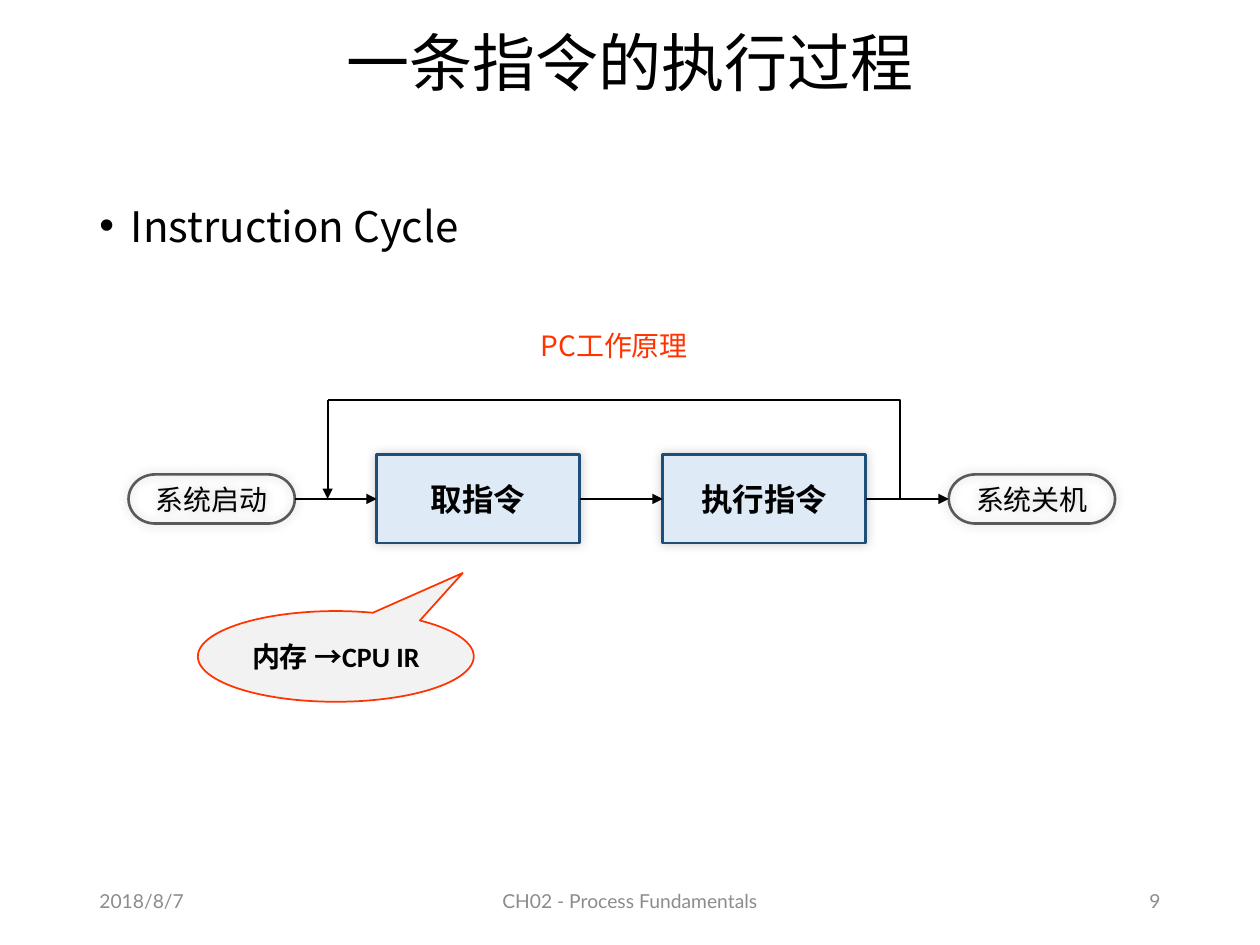
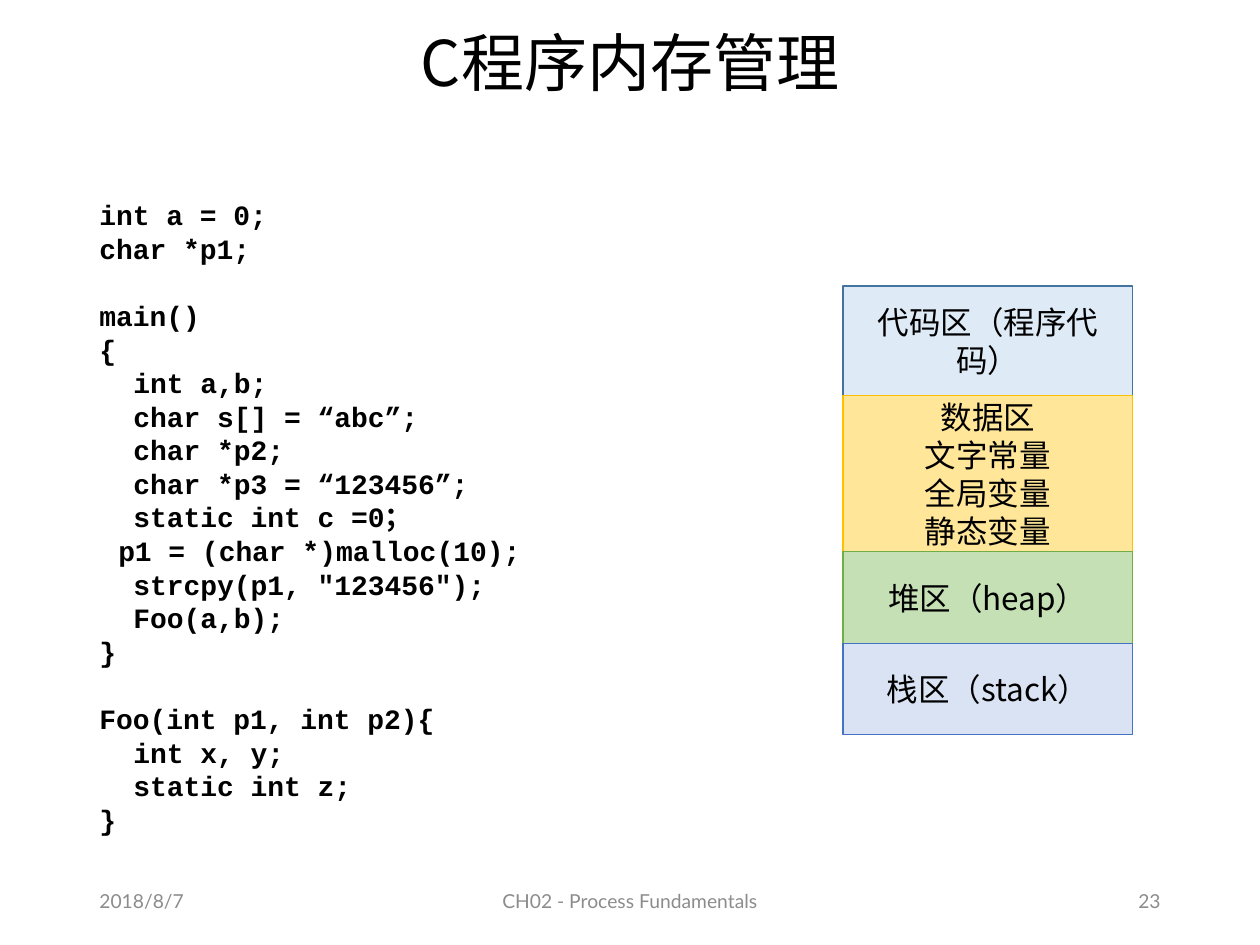
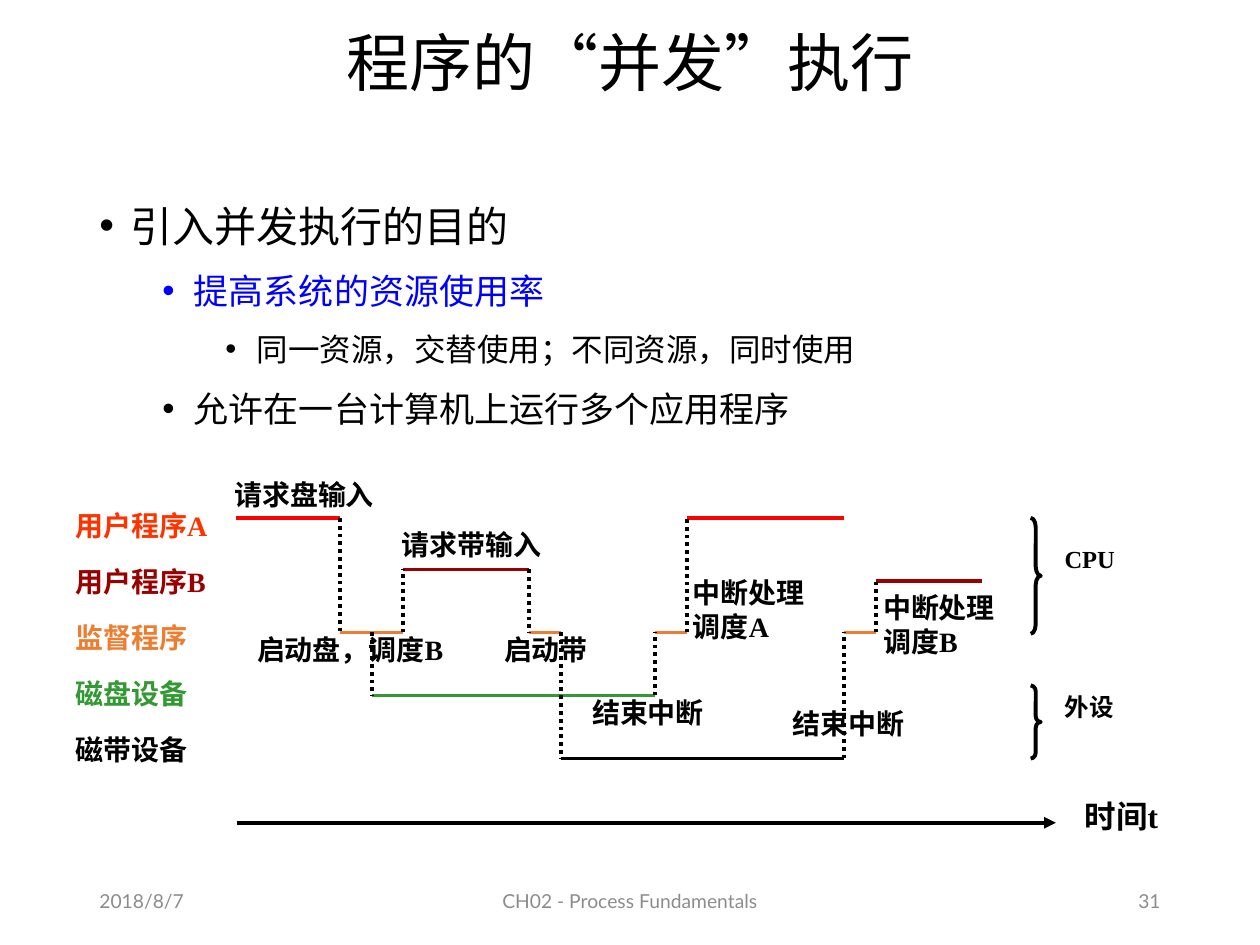
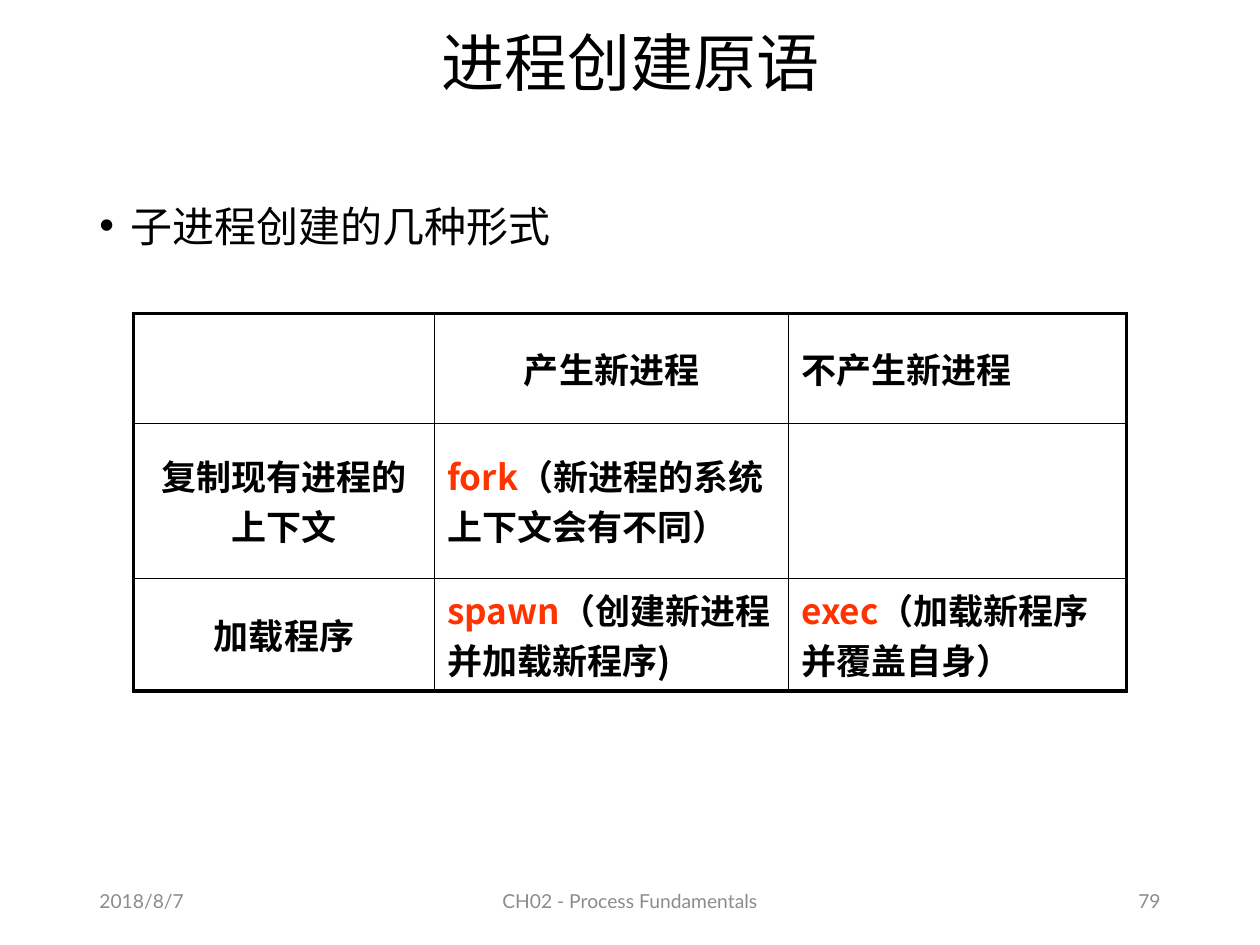
from dataclasses import dataclass, replace
from itertools import accumulate

from pptx import Presentation, util as u
from pptx.dml.color import RGBColor
from pptx.enum import dml, shapes, text
from pptx.oxml import ns, xmlchemy

ALIGN = text.PP_ALIGN
ANCHOR = text.MSO_ANCHOR
KIND = shapes.MSO_SHAPE
JOIN = shapes.MSO_CONNECTOR


@dataclass(frozen=True)
class Theme:
    """Colours, fonts and sizes of the deck."""
    sans: str = "Noto Sans CJK SC"
    serif: str = "Times New Roman"
    mono: str = "Courier New"
    callout: str = "Calibri"
    footer: str = "Lato"
    black: str = "000000"
    muted: str = "8C8C8C"
    accent: str = "FF3300"
    link: str = "0000FF"
    gray: str = "595959"
    pale: str = "F2F2F2"
    sky: str = "DEEBF7"
    navy: str = "1F4E79"
    steel: str = "43739E"
    sand: str = "FFE699"
    gold: str = "FFC000"
    mint: str = "C5E0B4"
    leaf: str = "70AD47"
    mist: str = "DAE3F3"
    blue: str = "4472C4"
    red: str = "FF0000"
    maroon: str = "990000"
    orange: str = "ED7D31"
    green: str = "339933"
    title_size: int = 36
    body_sizes: tuple = (24, 20, 18)
    table_size: int = 20
    large: int = 18
    normal: int = 16
    small: int = 14
    footer_size: int = 11


T = Theme()
MEMORY_AREAS = (
    (["代码区（程序代码）"], 0.87, T.sky, T.steel),
    (["数据区", "文字常量", "全局变量", "静态变量"], 1.24, T.sand, T.gold),
    (["堆区（heap）"], 0.73, T.mint, T.leaf),
    (["栈区（stack）"], 0.72, T.mist, T.blue),
)
CODE = (
    ("int a = 0;", 0, 0), ("char *p1;", 0, 0),
    ("main()", 0, 1), ("{", 0, 0),
    ("int a,b;", 0.27, 0), ("char s[] = “abc”;", 0.27, 0),
    ("char *p2;", 0.27, 0), ("char *p3 = “123456”;", 0.27, 0),
    ("static int c =0；", 0.27, 0), ("p1 = (char *)malloc(10);", 0.15, 0),
    ('strcpy(p1, "123456");', 0.27, 0), ("Foo(a,b);", 0.27, 0), ("}", 0, 0),
    ("Foo(int p1, int p2){", 0, 1), ("int x, y;", 0.27, 0),
    ("static int z;", 0.27, 0), ("}", 0, 0),
)


@dataclass(frozen=True)
class Box:
    """An area in inches, divided into columns and rows."""
    left: float
    top: float
    width: float
    height: float
    cols: float = 1
    rows: float = 1

    def point(self, col, row):
        """Return the place of a grid crossing."""
        return (u.Inches(self.left + col * self.width / self.cols),
                u.Inches(self.top + row * self.height / self.rows))

    def area(self, col, row, wide, high, cols=1, rows=1):
        """Return the area that spans some columns and rows."""
        across, down = self.width / self.cols, self.height / self.rows
        return Box(self.left + col * across, self.top + row * down,
                   wide * across, high * down, cols, rows)

    def frame(self):
        """Return left, top, width and height for python-pptx."""
        return tuple(u.Inches(v) for v in (self.left, self.top, self.width, self.height))


PAGE = Box(0, 0, 10, 7.5, 40, 30)


@dataclass(frozen=True)
class Look:
    """How a paragraph is set; pitch is the line height per point of size."""
    size: float
    font: str = T.sans
    color: str = T.black
    bold: bool = False
    align: ALIGN = ALIGN.LEFT
    pitch: float = 1.2
    before: float = 0
    margin: float = 0
    hang: float = 0
    level: int = 0
    bullet: bool = False


FOOTER = Look(T.footer_size, T.footer, T.muted)
NOTE = Look(T.normal, T.serif, bold=True)


def style(target, **formats):
    """Set each format value on the target."""
    for name, value in formats.items():
        setattr(target, name, value)


def add_node(parent, tag, **attributes):
    """Append an XML element with attributes and return it."""
    node = xmlchemy.OxmlElement(tag)
    for name, value in attributes.items():
        node.set(name, str(value))
    parent.append(node)
    return node


def write(frame, lines):
    """Write (content, look) lines; content is text or (text, colour) runs."""
    for index, (content, look) in enumerate(lines):
        paragraph = frame.add_paragraph() if index else frame.paragraphs[0]
        style(paragraph, alignment=look.align, level=look.level,
              line_spacing=u.Pt(look.size * look.pitch), space_before=u.Pt(look.before))
        props = paragraph._p.get_or_add_pPr()
        props.set("marL", str(u.Inches(look.margin)))
        props.set("indent", str(u.Inches(-look.hang)))
        if look.bullet:
            add_node(props, "a:buFont", typeface="Arial")
            add_node(props, "a:buChar", char="•")
        runs = [(content, look.color)] if isinstance(content, str) else content
        for words, color in runs:
            run = paragraph.add_run()
            run.text = words
            style(run.font, size=u.Pt(look.size), name=look.font, bold=look.bold)
            run.font.color.rgb = RGBColor.from_string(color)
            add_node(run._r.get_or_add_rPr(), "a:ea", typeface=T.sans)


def add_text(slide, box, lines, anchor=ANCHOR.TOP, inset=True):
    """Add a text box, with or without the usual inner margins."""
    frame = slide.shapes.add_textbox(*box.frame()).text_frame
    style(frame, word_wrap=True, vertical_anchor=anchor)
    if not inset:
        style(frame, margin_left=0, margin_top=0, margin_right=0, margin_bottom=0)
    write(frame, lines)


def add_block(slide, kind, box, lines, line, width, fill=None, adjust=(), shadow=False):
    """Add an outlined preset shape with centred text."""
    block = slide.shapes.add_shape(kind, *box.frame())
    block.shadow.inherit = False
    if fill:
        block.fill.solid()
        block.fill.fore_color.rgb = RGBColor.from_string(fill)
    else:
        block.fill.background()
    block.line.color.rgb = RGBColor.from_string(line)
    block.line.width = u.Pt(width)
    for index, value in enumerate(adjust):
        block.adjustments[index] = value
    if shadow:
        effects = block._element.spPr.find(ns.qn("a:effectLst"))
        outer = add_node(effects, "a:outerShdw", blurRad=u.Pt(6), dist=0,
                         dir=315 * 60000, rotWithShape=0)
        add_node(add_node(outer, "a:srgbClr", val=T.black), "a:alpha", val=20000)
    style(block.text_frame, word_wrap=True, vertical_anchor=ANCHOR.MIDDLE)
    write(block.text_frame, lines)
    return block


def add_line(slide, start, end, color=T.black, width=2.25, kind=JOIN.STRAIGHT,
             dotted=False, arrow=False):
    """Add a connector between two points."""
    line = slide.shapes.add_connector(kind, *start, *end)
    line.line.color.rgb = RGBColor.from_string(color)
    line.line.width = u.Pt(width)
    if dotted:
        line.line.dash_style = dml.MSO_LINE.ROUND_DOT
    props = line._element.spPr
    if arrow:
        add_node(props.find(ns.qn("a:ln")), "a:tailEnd", type="triangle")
    add_node(props, "a:effectLst")
    return line


def add_page(deck, title, number):
    """Add a slide with its title and footer."""
    slide = deck.slides.add_slide(deck.slide_layouts[6])
    heading = Look(T.title_size, align=ALIGN.CENTER, pitch=1.08)
    add_text(slide, PAGE.area(2.76, 0.56, 34.48, 3.04), [(title, heading)], ANCHOR.MIDDLE)
    footers = (("2018/8/7", 2.76, 9, ALIGN.LEFT),
               ("CH02 - Process Fundamentals", 13.24, 13.52, ALIGN.CENTER),
               (str(number), 28.24, 9, ALIGN.RIGHT))
    for words, col, wide, align in footers:
        add_text(slide, PAGE.area(col, 27.8, wide, 1.6),
                 [(words, replace(FOOTER, align=align))], ANCHOR.MIDDLE)
    return slide


def add_outline(slide, points):
    """Add the bulleted body from (text, level, colour) points."""
    lines = [(words, Look(T.body_sizes[level], color=color, pitch=1.5,
                          before=5 if level else 10, margin=0.25 + 0.5 * level,
                          hang=0.25, level=level, bullet=True))
             for words, level, color in points]
    add_text(slide, PAGE.area(2.76, 5.76, 34.48, 21.52), lines)


def draw_cycle(slide, box):
    """Draw the instruction cycle with its loop and callout."""
    label = Look(T.normal, align=ALIGN.CENTER)
    step = replace(label, size=T.large, bold=True)

    def add_end(words, col):
        """Add a rounded end of the flow."""
        return add_block(slide, KIND.FLOWCHART_TERMINATOR, box.area(col, 5.06, 5.28, 1.56),
                         [(words, label)], T.gray, 1.5, shadow=True)

    def add_step(words, col):
        """Add a processing step of the flow."""
        return add_block(slide, KIND.FLOWCHART_PROCESS, box.area(col, 4.44, 6.44, 2.8),
                         [(words, step)], T.navy, 1.5, T.sky, shadow=True)

    flow = [add_end("系统启动", 0.08), add_step("取指令", 7.96),
            add_step("执行指令", 17.04), add_end("系统关机", 26.12)]
    for source, target in zip(flow, flow[1:]):
        arrow = add_line(slide, (0, 0), (0, 0), width=1.25, arrow=True)
        arrow.begin_connect(source, 3)
        arrow.end_connect(target, 1)
    corner = box.point(6.4, 2.7)
    add_line(slide, corner, box.point(6.4, 5.84), width=1.25, arrow=True)
    loop = add_line(slide, corner, box.point(24.52, 5.84), width=1.25, kind=JOIN.ELBOW)
    guides = loop._element.spPr.find(ns.qn("a:prstGeom")).find(ns.qn("a:avLst"))
    add_node(guides, "a:gd", name="adj1", fmla="val 100300")
    add_block(slide, KIND.OVAL_CALLOUT, box.area(2.28, 9.4, 8.76, 2.88),
              [("内存 →CPU IR", replace(label, font=T.callout, bold=True))],
              T.accent, 1, T.pale, (0.46, -0.92))
    add_text(slide, box.area(9.48, 0.24, 12.04, 1.48),
             [("PC工作原理", replace(label, color=T.accent))])


def draw_code(slide, box):
    """Write the program listing."""
    look = Look(T.normal, T.mono, bold=True)
    add_text(slide, box, [(words, replace(look, margin=margin, before=gap * look.size * look.pitch))
                          for words, margin, gap in CODE])


def draw_memory(slide, box):
    """Stack the memory areas from top to bottom."""
    look = Look(T.large, align=ALIGN.CENTER)
    heights = [high for _, high, _, _ in MEMORY_AREAS]
    grid = replace(box, rows=sum(heights))
    for top, (names, high, fill, line) in zip(accumulate(heights, initial=0), MEMORY_AREAS):
        add_block(slide, KIND.RECTANGLE, grid.area(0, top, 1, high),
                  [(name, look) for name in names], line, 0.75, fill)


def draw_timeline(slide, box):
    """Draw the lanes over time with switches, notes and time axis."""
    user_a, user_b, late_b, monitor, disk, tape = 0.18, 1, 1.18, 2, 3, 4
    bars = ((user_a, -0.32, 3, T.red), (monitor, 3, 5, T.orange),
            (user_b, 5, 9, T.maroon), (monitor, 9, 10, T.orange),
            (tape, 10, 19, T.black), (disk, 4, 13, T.green),
            (monitor, 13, 14, T.orange), (user_a, 14, 19, T.red),
            (monitor, 19, 20, T.orange), (late_b, 20, 23.36, T.maroon))
    switches = ((3, user_a, monitor), (4, monitor, disk), (5, monitor, user_b),
                (9, user_b, monitor), (10, monitor, tape), (13, disk, monitor),
                (14, monitor, user_a), (19, tape, monitor), (20, monitor, late_b))
    for row, start, end, color in bars:
        add_line(slide, box.point(start, row), box.point(end, row), color)
    for col, start, end in switches:
        add_line(slide, box.point(col, start), box.point(col, end), dotted=True)

    notes = ((["请求盘输入"], -0.36, -0.46, 7), (["启动盘，调度B"], 0.36, 2, 7.68),
             (["请求带输入"], 4.96, 0.34, 5.68), (["启动带"], 8.2, 2, 3.68),
             (["结束中断"], 11, 3, 4.68), (["中断处理", "调度A"], 14.2, 1.1, 4.68),
             (["结束中断"], 17.36, 3.18, 4.68), (["中断处理", "调度B"], 20.24, 1.34, 4.68))
    for words, col, row, wide in notes:
        add_text(slide, box.area(col, row, wide, 0.54 * len(words)),
                 [(word, NOTE) for word in words], inset=False)

    lanes = (("用户程序A", T.accent), ("用户程序B", T.maroon), ("监督程序", T.orange),
             ("磁盘设备", T.green), ("磁带设备", T.black))
    lane = replace(NOTE, pitch=1.8, before=3.2, margin=0.38, hang=0.38)
    add_text(slide, box.area(-5.8, -0.34, 6.4, 4.56),
             [(name, replace(lane, color=color)) for name, color in lanes])

    groups = (("CPU", 0.18, 1.84, 0.92, 0.5), ("外设", 2.84, 1.16, 0.58, 2.84))
    for name, row, high, bend, label_row in groups:
        add_block(slide, KIND.RIGHT_BRACE, box.area(24.92, row, 0.32, high), [],
                  T.black, 2.25, adjust=(bend, 0.5))
        add_text(slide, box.area(25.6, label_row, 3.68, 0.68),
                 [(name, replace(NOTE, size=T.small))])
    add_line(slide, box.point(-0.28, 5.02), box.point(25.72, 5.02), arrow=True)
    add_text(slide, box.area(26.24, 4.52, 4, 0.8), [("时间t", replace(NOTE, size=T.large))])


def draw_table(slide, box):
    """Fill the table of ways to create a process."""
    widths, heights = (2.39, 2.81, 2.68), (0.87, 1.23, 0.89)
    cells = (
        ("", "产生新进程", "不产生新进程"),
        ("复制现有进程的上下文",
         [("fork", T.accent), ("（新进程的系统上下文会有不同）", T.black)], ""),
        ("加载程序", [("spawn", T.accent), ("（创建新进程并加载新程序)", T.black)],
         [("exec", T.accent), ("（加载新程序并覆盖自身）", T.black)]),
    )
    look = Look(T.table_size, bold=True, pitch=1.43)
    table = slide.shapes.add_table(len(heights), len(widths), *box.frame()).table
    style(table, first_row=False, horz_banding=False)
    for column, width in zip(table.columns, widths):
        column.width = u.Inches(width)
    last_row, last_col = len(heights) - 1, len(widths) - 1
    for r, (height, contents) in enumerate(zip(heights, cells)):
        table.rows[r].height = u.Inches(height)
        for c, content in enumerate(contents):
            cell = table.cell(r, c)
            cell.vertical_anchor = ANCHOR.MIDDLE
            if content:
                centred = c == 0 or (r, c) == (0, 1)
                align = ALIGN.CENTER if centred else ALIGN.LEFT
                write(cell.text_frame, [(content, replace(look, align=align))])
            outer = {"L": c == 0, "R": c == last_col, "T": r == 0, "B": r == last_row}
            for side, is_outer in outer.items():
                border = add_node(cell._tc.get_or_add_tcPr(), f"a:ln{side}",
                                  w=u.Pt(2.25 if is_outer else 1))
                add_node(add_node(border, "a:solidFill"), "a:srgbClr", val=T.black)
            cell.fill.background()


def main():
    """Build the four slides and save them."""
    deck = Presentation()
    style(deck, slide_width=u.Inches(PAGE.width), slide_height=u.Inches(PAGE.height))

    cycle = add_page(deck, "一条指令的执行过程", 9)
    add_outline(cycle, [("Instruction Cycle", 0, T.black)])
    draw_cycle(cycle, PAGE.area(4, 10, 32, 13, 32, 13))

    memory = add_page(deck, "C程序内存管理", 23)
    draw_code(memory, PAGE.area(2.76, 6.08, 23.12, 20.88))
    draw_memory(memory, PAGE.area(26.76, 9.08, 9.2, 14.24))

    concurrency = add_page(deck, "程序的“并发”执行", 31)
    add_outline(concurrency, [("引入并发执行的目的", 0, T.black),
                              ("提高系统的资源使用率", 1, T.link),
                              ("同一资源，交替使用；不同资源，同时使用", 2, T.black),
                              ("允许在一台计算机上运行多个应用程序", 1, T.black)])
    draw_timeline(concurrency, PAGE.area(7.8, 16.08, 24, 8, 24, 4))

    creation = add_page(deck, "进程创建原语", 79)
    add_outline(creation, [("子进程创建的几种形式", 0, T.black)])
    draw_table(creation, PAGE.area(4.24, 9.96, 31.52, 11.96))

    deck.save("out.pptx")


if __name__ == "__main__":
    main()
